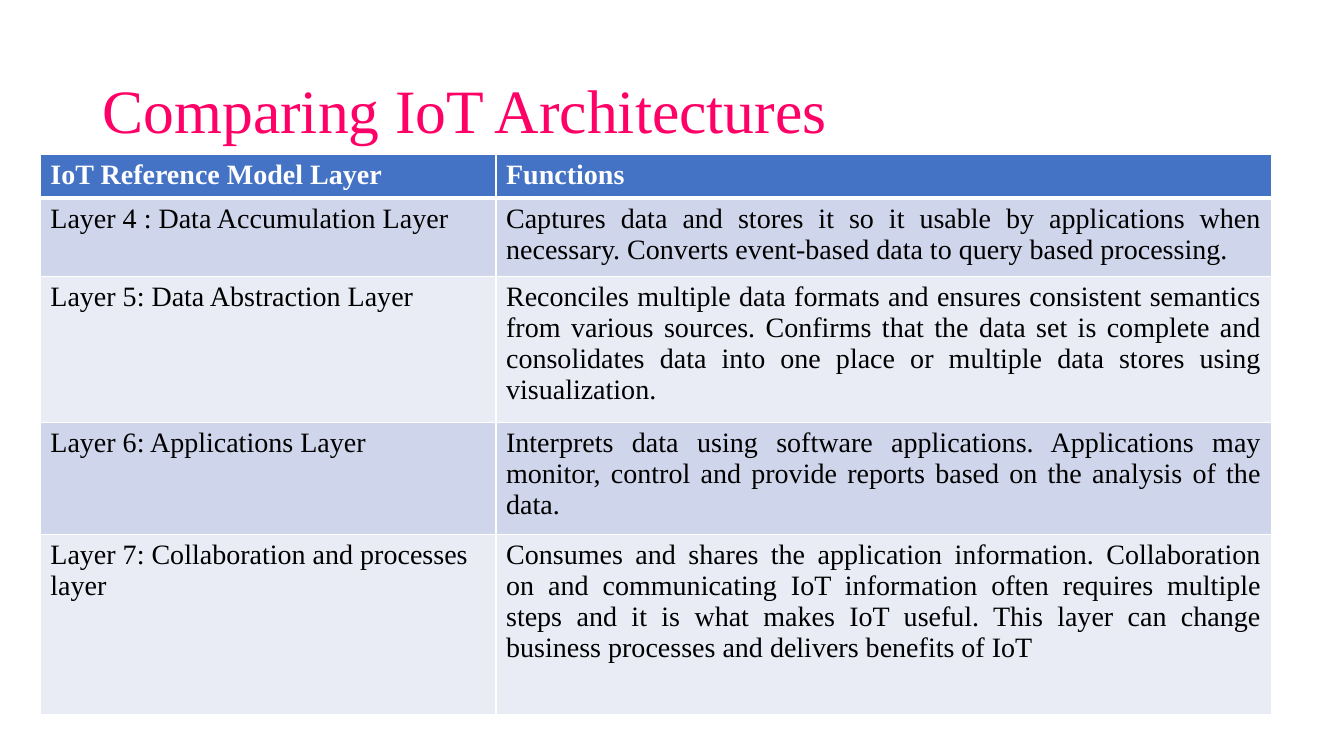
import pptx
import pptx.dml.color
import pptx.enum.text
import pptx.oxml.ns
import pptx.util
from lxml import etree

RGBColor = pptx.dml.color.RGBColor
Align = pptx.enum.text.PP_ALIGN

PINK = RGBColor(0xFF, 0x00, 0x66)
WHITE = RGBColor(0xFF, 0xFF, 0xFF)
BLACK = RGBColor(0x00, 0x00, 0x00)
HEADER_BLUE = RGBColor(0x44, 0x72, 0xC4)
BAND_DARK = RGBColor(0xCF, 0xD5, 0xEA)
BAND_LIGHT = RGBColor(0xE9, 0xEB, 0xF5)

WIDTH, HEIGHT = 13.33, 7.5
COLUMN_WIDTHS = (4.52, 7.69)
ROW_HEIGHTS = (0.43, 0.78, 1.45, 1.11, 1.79)
THIN, THICK = 1, 3

LAYERS = (
    ("IoT Reference Model Layer", "Functions"),
    ("Layer 4 : Data Accumulation Layer",
     "Captures data and stores it so it usable by applications when necessary. "
     "Converts event-based data to query based processing."),
    ("Layer 5: Data Abstraction Layer",
     "Reconciles multiple data formats and ensures consistent semantics from "
     "various sources. Confirms that the data set is complete and consolidates "
     "data into one place or multiple data stores using visualization."),
    ("Layer 6: Applications Layer",
     "Interprets data using software applications. Applications may monitor, "
     "control and provide reports based on the analysis of the data."),
    ("Layer 7: Collaboration and processes layer",
     "Consumes and shares the application information. Collaboration on and "
     "communicating IoT information often requires multiple steps and it is what "
     "makes IoT useful. This layer can change business processes and delivers "
     "benefits of IoT"),
)


class SlideBuilder:
    font_name = "Times New Roman"

    def __init__(self, deck):
        self.deck = deck
        self.page = deck.slides.add_slide(deck.slide_layouts[6])

    def place(self, left, top, width, height):
        """Turn shares of the slide's size into whole lengths."""
        across, down = self.deck.slide_width, self.deck.slide_height
        return [int(share * side) for share, side in
                zip((left, top, width, height), (across, down, across, down))]

    def add_span(self, para, text, size, color, bold=False):
        span = para.add_run()
        span.text = text
        style = {"name": self.font_name, "size": pptx.util.Pt(size), "bold": bold}
        for name, value in style.items():
            setattr(span.font, name, value)
        span.font.color.rgb = color

    def title(self, text, area):
        box = self.page.shapes.add_textbox(*self.place(*area))
        frame = box.text_frame
        frame.word_wrap = True
        frame.vertical_anchor = pptx.enum.text.MSO_ANCHOR.MIDDLE
        para = frame.paragraphs[0]
        para.line_spacing = 0.9
        self.add_span(para, text, 44, PINK)

    def borders(self, cell, top, bottom):
        properties = cell._tc.get_or_add_tcPr()
        widths = {"lnL": THIN, "lnR": THIN, "lnT": top, "lnB": bottom}
        for side, points in widths.items():
            line = etree.SubElement(properties, pptx.oxml.ns.qn(f"a:{side}"),
                                    w=str(pptx.util.Pt(points)))
            fill = etree.SubElement(line, pptx.oxml.ns.qn("a:solidFill"))
            etree.SubElement(fill, pptx.oxml.ns.qn("a:srgbClr"), val=str(WHITE))

    def cell(self, cell, text, row, column):
        header = row == 0
        self.borders(cell, THICK if row == 1 else THIN, THICK if header else THIN)
        cell.fill.solid()
        cell.fill.fore_color.rgb = (
            HEADER_BLUE if header else BAND_DARK if row % 2 else BAND_LIGHT)
        para = cell.text_frame.paragraphs[0]
        para.alignment = Align.JUSTIFY if column and not header else Align.LEFT
        self.add_span(para, text, 20, WHITE if header else BLACK, bold=header)

    def table(self, rows, area):
        table = self.page.shapes.add_table(
            len(rows), len(rows[0]), *self.place(*area)).table
        for column, width in zip(table.columns, COLUMN_WIDTHS):
            column.width = pptx.util.Inches(width)
        for row, height in zip(table.rows, ROW_HEIGHTS):
            row.height = pptx.util.Inches(height)
        for row, texts in enumerate(rows):
            for column, text in enumerate(texts):
                self.cell(table.cell(row, column), text, row, column)


def main():
    deck = pptx.Presentation()
    deck.slide_width = pptx.util.Inches(WIDTH)
    deck.slide_height = pptx.util.Inches(HEIGHT)
    builder = SlideBuilder(deck)
    builder.title("Comparing IoT Architectures",
                  (0.92 / WIDTH, 0.4 / HEIGHT, 11.5 / WIDTH, 1.45 / HEIGHT))
    builder.table(LAYERS, (0.4 / WIDTH, 1.53 / HEIGHT,
                           sum(COLUMN_WIDTHS) / WIDTH, sum(ROW_HEIGHTS) / HEIGHT))
    deck.save("out.pptx")


if __name__ == "__main__":
    main()
